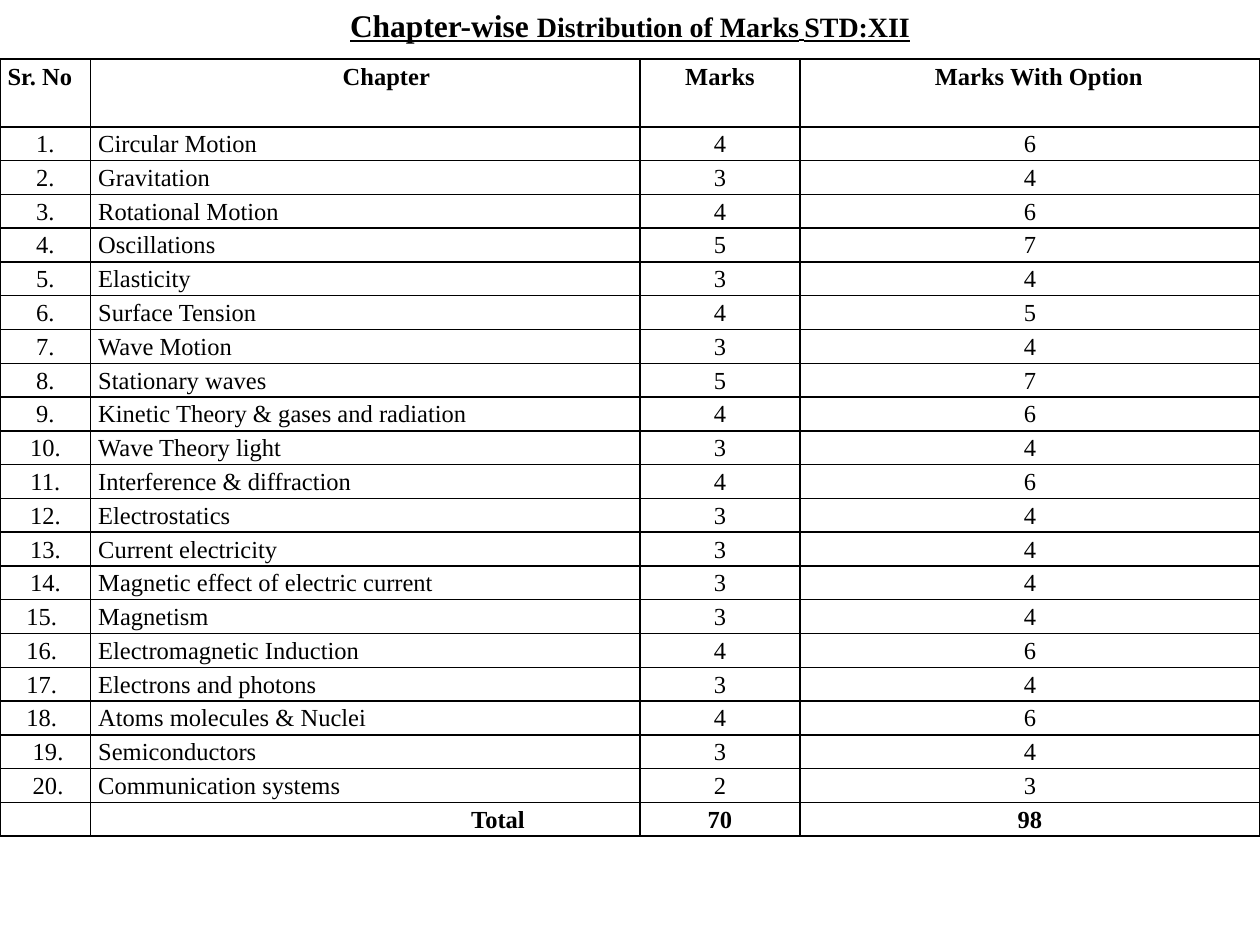
from lxml import etree
from pptx import Presentation
from pptx.dml.color import RGBColor
from pptx.enum.text import MSO_AUTO_SIZE, PP_ALIGN
from pptx.oxml.ns import qn
from pptx.util import Inches, Pt

LEFT, CENTER = PP_ALIGN.LEFT, PP_ALIGN.CENTER
FONT = "Times New Roman"
BLACK = "000000"
BODY_SIZE = 14
COLUMNS = [0.72, 4.36, 1.27, 3.65]

HEADERS = ["Sr. No", "Chapter", "Marks", "Marks With Option"]
HEADER_INDENTS = [0, 1.94, 0, 0.14]
TOTAL = ["", "Total", "70", "98"]
TOTAL_INDENTS = [0, 2.96, 0, 0]
CHAPTERS = [
    ("Circular Motion", 4, 6),
    ("Gravitation", 3, 4),
    ("Rotational Motion", 4, 6),
    ("Oscillations", 5, 7),
    ("Elasticity", 3, 4),
    ("Surface Tension", 4, 5),
    ("Wave Motion", 3, 4),
    ("Stationary waves", 5, 7),
    ("Kinetic Theory & gases and radiation", 4, 6),
    ("Wave Theory light", 3, 4),
    ("Interference & diffraction", 4, 6),
    ("Electrostatics", 3, 4),
    ("Current electricity", 3, 4),
    ("Magnetic effect of electric current", 3, 4),
    ("Magnetism", 3, 4),
    ("Electromagnetic Induction", 4, 6),
    ("Electrons and photons", 3, 4),
    ("Atoms molecules & Nuclei", 4, 6),
    ("Semiconductors", 3, 4),
    ("Communication systems", 2, 3),
]
# Serial numbers that are indented from the left rather than centred
NUMBER_INDENTS = {15: 0.15, 16: 0.15, 17: 0.15, 18: 0.15, 19: 0.2, 20: 0.2}


def rgb(color):
    return RGBColor.from_string(color)


def add_run(p, text, size, bold=False, underline=None):
    r = p.add_run()
    r.text = text
    r.font.name = FONT
    r.font.size = Pt(size)
    r.font.bold = bold
    r.font.underline = underline
    r.font.color.rgb = rgb(BLACK)


def add_borders(cell):
    tc_pr = cell._tc.get_or_add_tcPr()
    for i, side in enumerate(("a:lnL", "a:lnR", "a:lnT", "a:lnB")):
        ln = etree.Element(qn(side), w=str(Pt(1)))
        fill = etree.SubElement(ln, qn("a:solidFill"))
        etree.SubElement(fill, qn("a:srgbClr"), val=BLACK)
        tc_pr.insert(i, ln)


def fill_cell(cell, text, align, indent=0, bold=False):
    cell.margin_left = cell.margin_right = Inches(0.06)
    cell.margin_top = cell.margin_bottom = 0
    cell.fill.background()
    add_borders(cell)
    p = cell.text_frame.paragraphs[0]
    p.alignment = align
    p.line_spacing = 1.15
    if indent:
        p_pr = p._p.get_or_add_pPr()
        p_pr.set("marL", str(Inches(indent)))
        p_pr.set("indent", "0")
    if text:
        add_run(p, text, BODY_SIZE, bold)
    else:
        etree.SubElement(p._p, qn("a:endParaRPr"), sz=str(BODY_SIZE * 100))


def fill_row(row, texts, aligns, indents, bold=False):
    for cell, text, align, indent in zip(row.cells, texts, aligns, indents):
        fill_cell(cell, text, align, indent, bold)


def add_title(s, x, y, w, h):
    tf = s.shapes.add_textbox(Inches(x), Inches(y), Inches(w), Inches(h)).text_frame
    tf.word_wrap = True
    tf.auto_size = MSO_AUTO_SIZE.SHAPE_TO_FIT_TEXT
    p = tf.paragraphs[0]
    p.alignment = CENTER
    # The third run is a single em space
    for text, size in (("Chapter-wise ", 18), ("Distribution of Marks", 16),
                       (" ", 12), ("STD:XII", 16)):
        add_run(p, text, size, True, True)


def add_marks_table(s, x, y, w, h):
    """The header row is two grid rows high, every other row one."""
    count = len(CHAPTERS) + 2
    row_height = h / (count + 1)
    table = s.shapes.add_table(count, len(COLUMNS), Inches(x), Inches(y),
                               Inches(w), Inches(h)).table
    table.first_row = table.horz_banding = False
    for column, share in zip(table.columns, COLUMNS):
        column.width = Inches(w * share / sum(COLUMNS))
    rows = list(table.rows)
    for row in rows:
        row.height = Inches(row_height)
    rows[0].height = Inches(2 * row_height)

    aligns = [LEFT, LEFT, CENTER, CENTER]
    fill_row(rows[0], HEADERS, aligns, HEADER_INDENTS, bold=True)
    for number, (chapter, marks, with_option) in enumerate(CHAPTERS, 1):
        indent = NUMBER_INDENTS.get(number, 0)
        fill_row(rows[number],
                 [f"{number}.", chapter, str(marks), str(with_option)],
                 [LEFT if indent else CENTER] + aligns[1:],
                 [indent, 0, 0, 0])
    fill_row(rows[-1], TOTAL, aligns, TOTAL_INDENTS, bold=True)


def main():
    prs = Presentation()
    prs.slide_width, prs.slide_height = Inches(10), Inches(7.5)
    s = prs.slides.add_slide(prs.slide_layouts[6])
    add_marks_table(s, 0, 0.47, 10, 6.17)
    add_title(s, 2.11, 0, 5.78, 0.57)
    prs.save("out.pptx")


if __name__ == "__main__":
    main()
